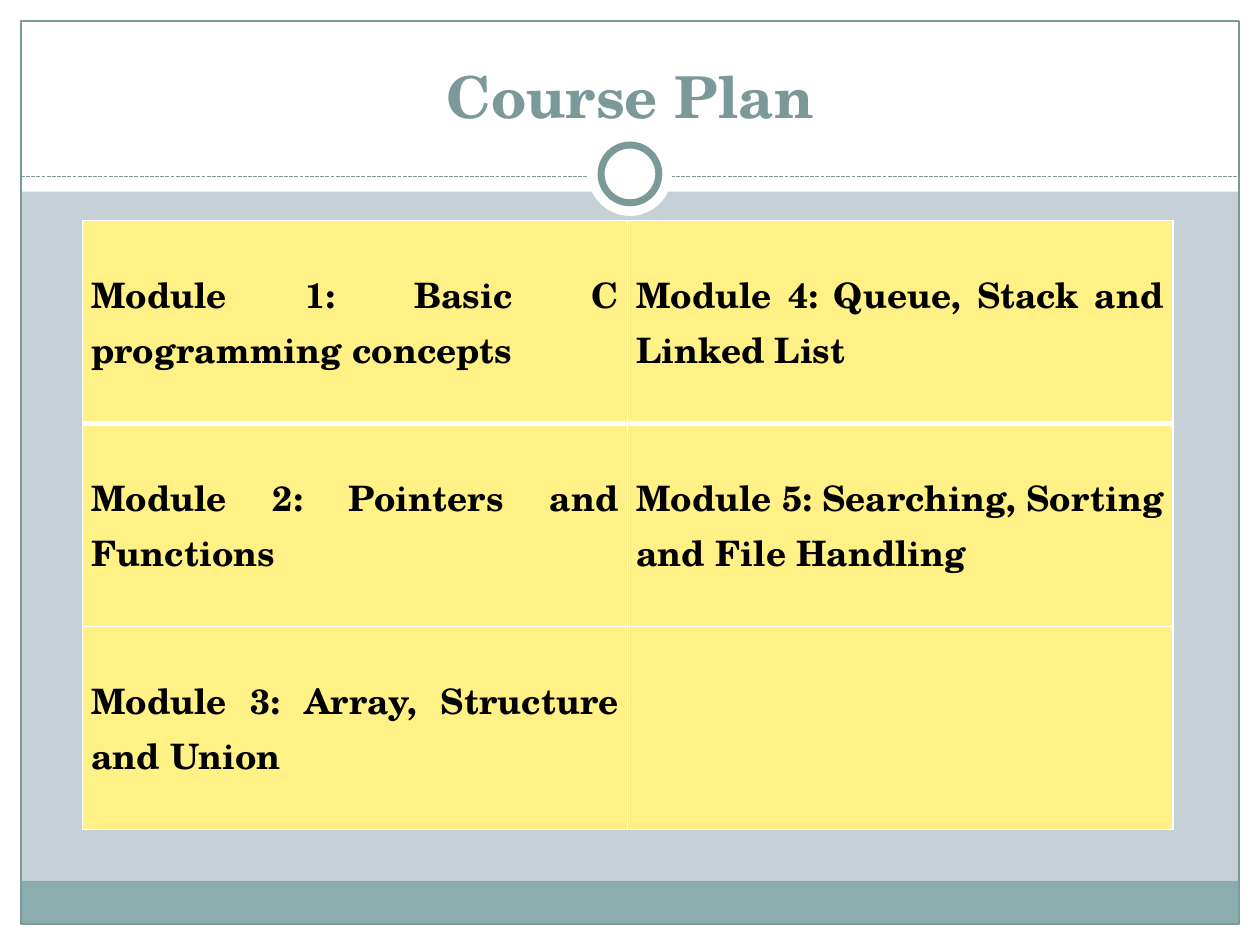
from lxml.etree import SubElement
from pptx import Presentation
from pptx.dml.color import RGBColor
from pptx.enum.dml import MSO_LINE
from pptx.enum.shapes import MSO_CONNECTOR, MSO_SHAPE
from pptx.enum.text import MSO_ANCHOR as ANCHOR, PP_ALIGN as ALIGN
from pptx.oxml.ns import qn
from pptx.util import Pt

COLORS = {"back": "C5D1D7", "white": "FFFFFF", "footer": "8CADAE",
          "accent": "7C999A", "cell": "FFF185", "text": "000000"}
FONT = "TeX Gyre Schola"
WIDTH, HEIGHT = 720, 540
MARGIN = 12
RULE_Y = 100.8
MODULES = [
    ["Module 1: Basic C programming concepts",
     "Module 4: Queue, Stack and Linked List"],
    ["Module 2: Pointers and Functions",
     "Module 5: Searching, Sorting and File Handling"],
    ["Module 3: Array, Structure and Union", ""],
]


def rgb(name):
    return RGBColor.from_string(COLORS[name])


class SlideBuilder:
    def __init__(self, slide):
        self.slide = slide
        fill = slide.background.fill
        fill.solid()
        fill.fore_color.rgb = rgb("back")

    def paint(self, fill, color):
        fill.solid()
        fill.fore_color.rgb = rgb(color)

    def shape(self, kind, x, y, w, h, fill=None, line=None, weight=0.75):
        sp = self.slide.shapes.add_shape(kind, Pt(x), Pt(y), Pt(w), Pt(h))
        sp.shadow.inherit = False
        if fill:
            self.paint(sp.fill, fill)
        else:
            sp.fill.background()
        if line:
            sp.line.color.rgb = rgb(line)
            sp.line.width = Pt(weight)
        else:
            sp.line.fill.background()

    def rect(self, *box, **style):
        self.shape(MSO_SHAPE.RECTANGLE, *box, **style)

    def circle(self, cx, cy, d, **style):
        self.shape(MSO_SHAPE.OVAL, cx - d / 2, cy - d / 2, d, d, **style)

    def dashed_rule(self, x1, x2, y):
        line = self.slide.shapes.add_connector(
            MSO_CONNECTOR.STRAIGHT, Pt(x1), Pt(y), Pt(x2), Pt(y))
        line.line.color.rgb = rgb("accent")
        line.line.width = Pt(0.75)
        line.line.dash_style = MSO_LINE.SQUARE_DOT
        SubElement(line.element.spPr, qn("a:effectLst"))

    def style_text(self, p, size, color, align):
        p.alignment = align
        p.font.name = FONT
        p.font.size = Pt(size)
        p.font.bold = True
        p.font.color.rgb = rgb(color)

    def title(self, text, x, y, w, h):
        sp = self.slide.shapes.title
        sp.left, sp.top, sp.width, sp.height = Pt(x), Pt(y), Pt(w), Pt(h)
        tf = sp.text_frame
        tf.text = text
        tf.vertical_anchor = ANCHOR.BOTTOM
        self.style_text(tf.paragraphs[0], 33, "accent", ALIGN.CENTER)
        sp.element.getparent().append(sp.element)

    def border(self, cell, side, weight):
        ln = SubElement(cell._tc.get_or_add_tcPr(), qn(f"a:ln{side}"),
                        w=str(Pt(weight)))
        fill = SubElement(ln, qn("a:solidFill"))
        SubElement(fill, qn("a:srgbClr"), val=COLORS["white"])

    def table(self, rows, x, y, w, h):
        table = self.slide.shapes.add_table(
            len(rows), len(rows[0]), Pt(x), Pt(y), Pt(w), Pt(h)).table
        for i, row in enumerate(rows):
            for j, text in enumerate(row):
                cell = table.cell(i, j)
                weights = {"L": 1, "R": 1, "T": 3 if i == 1 else 1,
                           "B": 3 if i == 0 else 1}
                for side, weight in weights.items():
                    self.border(cell, side, weight)
                self.paint(cell.fill, "cell")
                cell.vertical_anchor = ANCHOR.MIDDLE
                cell.margin_left = cell.margin_right = Pt(5)
                cell.margin_top = cell.margin_bottom = 0
                cell.text = text
                p = cell.text_frame.paragraphs[0]
                p.line_spacing = Pt(31.4)
                self.style_text(p, 20, "text", ALIGN.JUSTIFY)


def main():
    prs = Presentation()
    prs.slide_width, prs.slide_height = Pt(WIDTH), Pt(HEIGHT)
    s = SlideBuilder(prs.slides.add_slide(prs.slide_layouts[5]))

    inner_w, inner_h = WIDTH - 2 * MARGIN, HEIGHT - 2 * MARGIN
    for box in [(0, HEIGHT - MARGIN, WIDTH, MARGIN), (0, 0, WIDTH, 109.5),
                (0, 0, MARGIN, HEIGHT), (WIDTH - MARGIN, 0, MARGIN, HEIGHT)]:
        s.rect(*box, fill="white")
    s.rect(MARGIN, 503.3, inner_w, 24.7, fill="footer")
    s.rect(MARGIN, MARGIN, inner_w, inner_h, line="accent")

    s.dashed_rule(MARGIN, WIDTH - MARGIN, RULE_Y)
    s.circle(WIDTH / 2, 99.4, 48, fill="white")
    s.circle(WIDTH / 2, 99.4, 33, fill="white", line="accent", weight=4)

    s.title("Course Plan", 24, 18, 672, 60)
    s.table(MODULES, 47.2, 126, 623, 348)
    prs.save("out.pptx")


if __name__ == "__main__":
    main()
